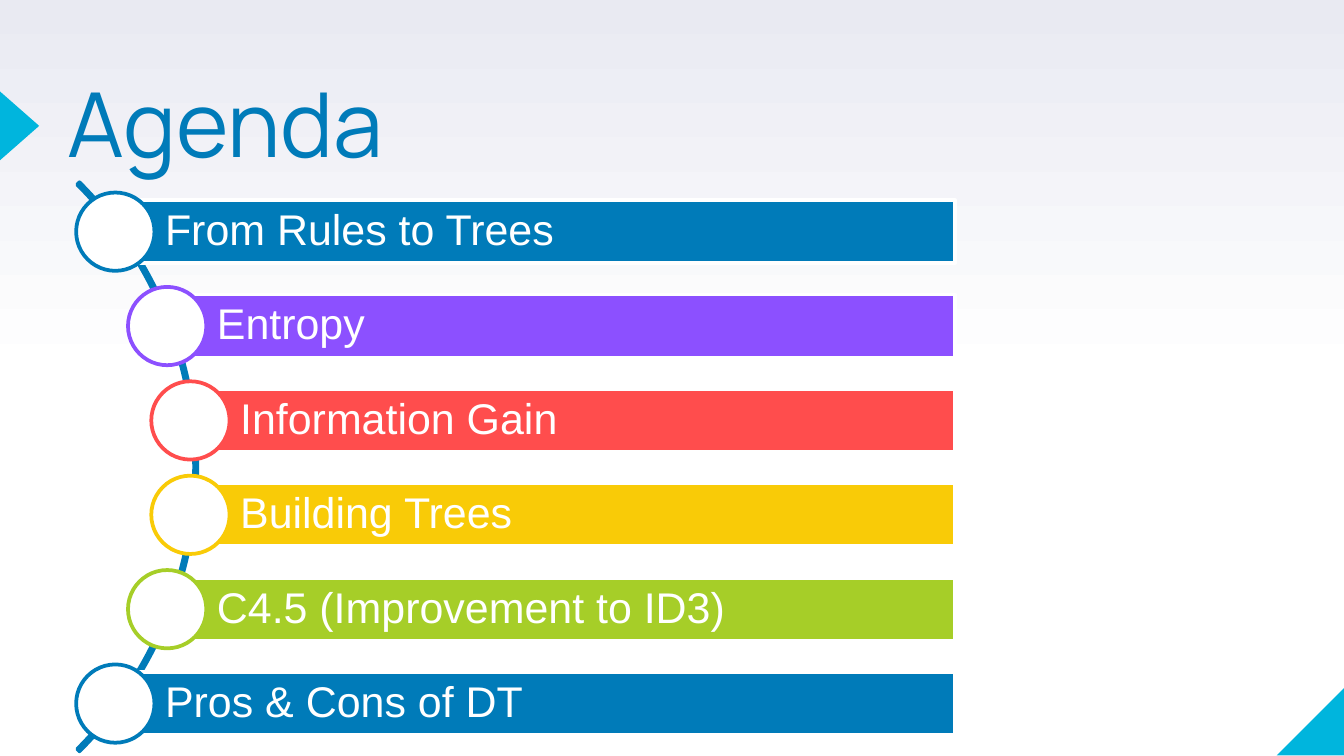
from pptx import Presentation
from pptx import util as u
from pptx.dml.color import RGBColor
from pptx.enum import shapes, text

WHITE, BLUE, CYAN, PALE = "FFFFFF", "007BB9", "00B5DD", "E9EAF2"

# text, colour, left edge of the bar in cm
AGENDA = [
    ("From Rules to Trees", BLUE, 2.18),
    ("Entropy", "8C50FF", 3.16),
    ("Information Gain", "FF4D4D", 3.6),
    ("Building Trees", "F9CB07", 3.6),
    ("C4.5 (Improvement to ID3)", "A6CE28", 3.16),
    ("Pros & Cons of DT", BLUE, 2.18),
]
FIRST_CENTRE, LAST_CENTRE = 4.38, 13.3
BAR_RIGHT, BAR_HEIGHT, CIRCLE = 18.05, 1.19, 1.48


def colour(value):
    return RGBColor.from_string(value)


def apply(target, values):
    for name, value in values.items():
        setattr(target, name, value)


class AgendaSlide:
    title_font = {"name": "Manrope", "size": u.Pt(48), "bold": False}
    bar_font = {"name": "Arial", "size": u.Pt(23)}
    title_frame = {
        "margin_left": 0, "margin_top": 0, "margin_right": 0, "margin_bottom": 0,
        "vertical_anchor": text.MSO_ANCHOR.TOP, "auto_size": text.MSO_AUTO_SIZE.NONE,
        "word_wrap": True,
    }
    bar_frame = {
        "margin_left": u.Cm(0.94), "margin_top": u.Cm(0.15),
        "margin_right": u.Cm(0.15), "margin_bottom": u.Cm(0.15),
        "vertical_anchor": text.MSO_ANCHOR.MIDDLE, "word_wrap": True,
    }

    def __init__(self, presentation):
        self.slide = presentation.slides.add_slide(presentation.slide_layouts[5])

    def background(self):
        fill = self.slide.background.fill
        fill.gradient()
        fill.gradient_angle = 90
        for stop, position, value in zip(fill.gradient_stops, (0.5, 1), (WHITE, PALE)):
            stop.position = position
            stop.color.rgb = colour(value)

    def label(self, shape, words, frame, font, value, spacing):
        apply(shape.text_frame, frame)
        paragraph = shape.text_frame.paragraphs[0]
        apply(paragraph, {"alignment": text.PP_ALIGN.LEFT, "line_spacing": spacing})
        run = paragraph.add_run()
        run.text = words
        apply(run.font, font)
        run.font.color.rgb = colour(value)

    def title(self, words, left, top, width, height):
        shape = self.slide.shapes.title
        apply(shape, {"left": u.Cm(left), "top": u.Cm(top),
                      "width": u.Cm(width), "height": u.Cm(height)})
        self.label(shape, words, self.title_frame, self.title_font, BLUE, 0.8)

    def shape(self, kind, left, top, width, height, fill=None, line=None):
        shape = self.slide.shapes.add_shape(
            kind, u.Cm(left), u.Cm(top), u.Cm(width), u.Cm(height))
        shape.shadow.inherit = False
        if fill:
            shape.fill.solid()
            shape.fill.fore_color.rgb = colour(fill)
        else:
            shape.fill.background()
        if line:
            shape.line.color.rgb = colour(line)
            shape.line.width = u.Pt(2)
        else:
            shape.line.fill.background()
        return shape

    def decorations(self):
        corner = self.shape(shapes.MSO_SHAPE.RIGHT_TRIANGLE, 24.13, 12.98, 1.3, 1.3, CYAN)
        corner._element.spPr.xfrm.set("flipH", "1")
        pointer = self.shape(shapes.MSO_SHAPE.ISOSCELES_TRIANGLE, -0.28, 2.01, 1.3, 0.74, CYAN)
        pointer.rotation = 90

    def arc(self):
        arc = self.shape(shapes.MSO_SHAPE.BLOCK_ARC, -11.48, 1.22, 15.21, 15.21, line=BLUE)
        for index, value in enumerate((189, 27, 0.004)):
            arc.adjustments[index] = value

    def item(self, words, value, left, centre):
        """Draw a bar and the circle centred on its left edge."""
        bar = self.shape(shapes.MSO_SHAPE.RECTANGLE, left, centre - BAR_HEIGHT / 2,
                         BAR_RIGHT - left, BAR_HEIGHT, value, WHITE)
        self.label(bar, words, self.bar_frame, self.bar_font, WHITE, 0.9)
        self.shape(shapes.MSO_SHAPE.OVAL, left - CIRCLE / 2, centre - CIRCLE / 2,
                   CIRCLE, CIRCLE, WHITE, value)


def main():
    presentation = Presentation()
    apply(presentation, {"slide_width": u.Cm(25.4), "slide_height": u.Cm(14.29)})
    agenda = AgendaSlide(presentation)
    agenda.background()
    agenda.decorations()
    agenda.title("Agenda", 1.27, 1.68, 15.67, 3)
    agenda.arc()
    pitch = (LAST_CENTRE - FIRST_CENTRE) / (len(AGENDA) - 1)
    for row, (words, value, left) in enumerate(AGENDA):
        agenda.item(words, value, left, FIRST_CENTRE + row * pitch)
    presentation.save("out.pptx")


if __name__ == "__main__":
    main()
